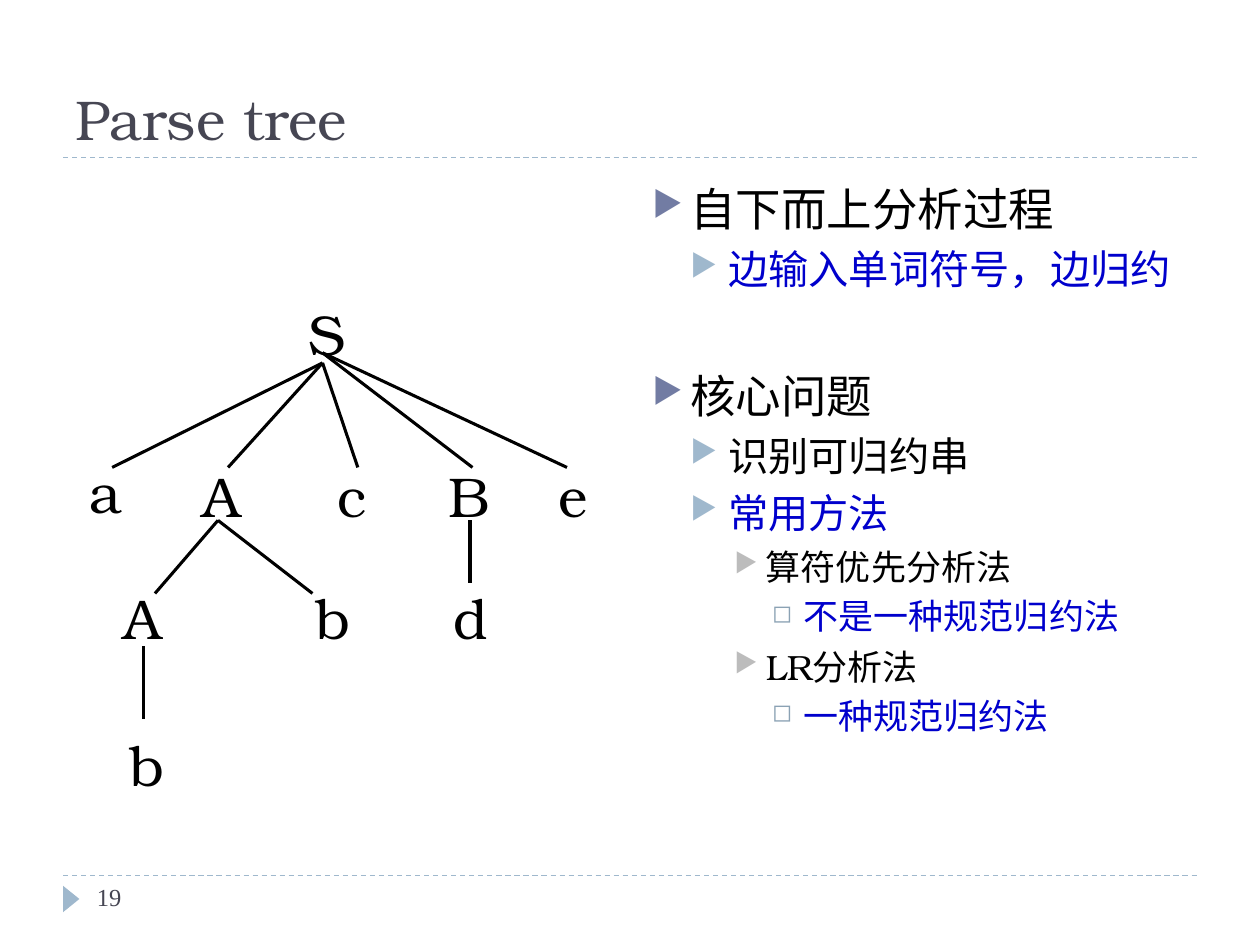
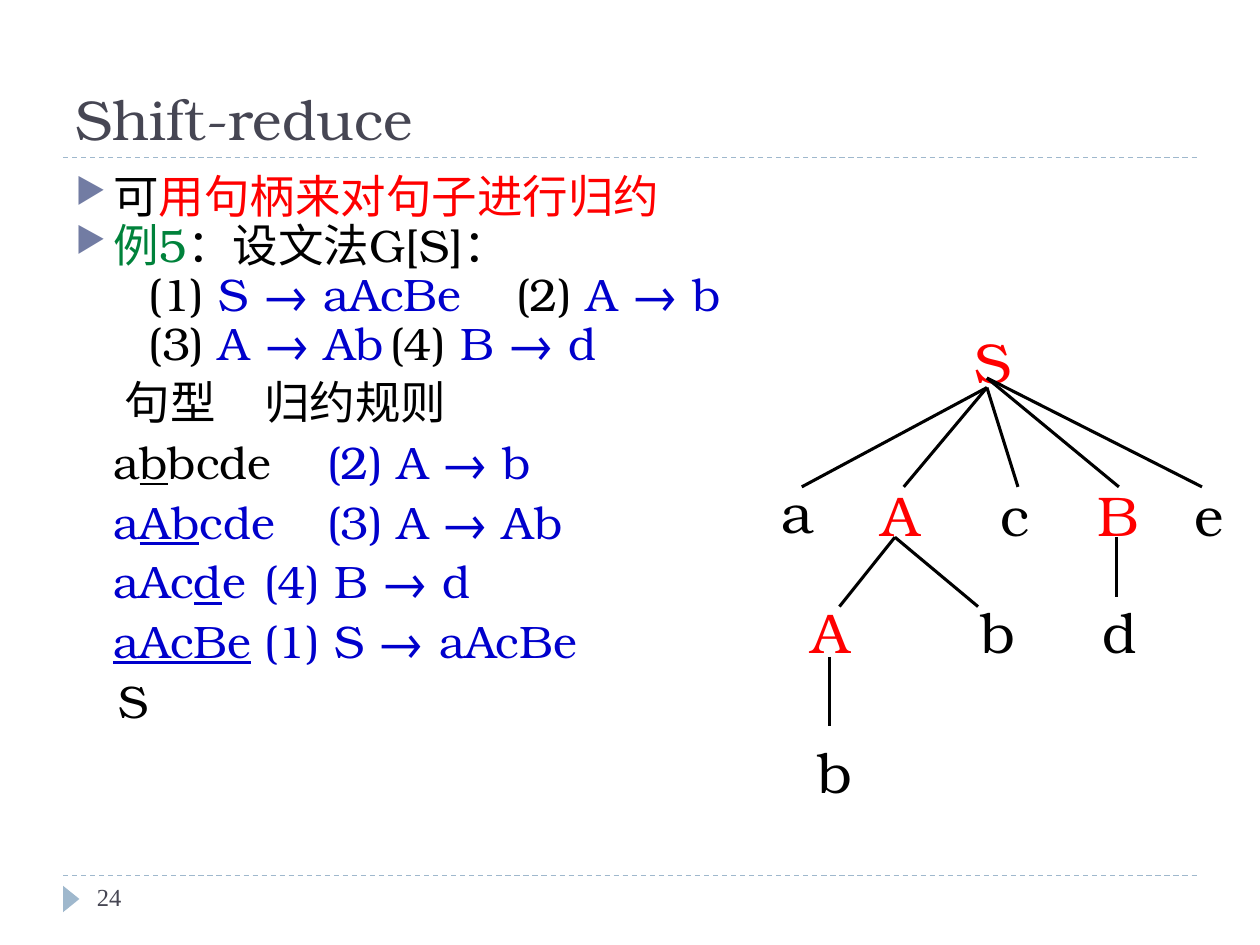
from dataclasses import dataclass

from lxml.etree import SubElement
from pptx import Presentation
from pptx.dml.color import RGBColor
from pptx.enum.dml import MSO_LINE
from pptx.enum.lang import MSO_LANGUAGE_ID
from pptx.enum.shapes import MSO_CONNECTOR, MSO_SHAPE
from pptx.enum.text import MSO_ANCHOR, MSO_AUTO_SIZE, PP_ALIGN
from pptx.oxml.ns import qn
from pptx.util import Inches, Pt


@dataclass(frozen=True)
class Theme:
    ink: str = "000000"
    title: str = "464653"
    accent: str = "9FB8CD"
    blue: str = "0000CC"
    red: str = "FF0000"
    green: str = "00823B"
    serif: str = "TeX Gyre Bonum"
    han: str = "Noto Sans CJK SC"
    number_font: str = "Times New Roman"
    title_size: int = 32
    body_size: int = 26
    number_size: int = 14


@dataclass(frozen=True)
class Level:
    size: int
    margin: float
    hang: float
    before: int
    mark: str
    mark_color: str
    mark_percent: int


THEME = Theme()
LEVELS = (
    Level(26, 0.3, 0.3, 6, "▶", "727CA3", 76),
    Level(23, 0.6, 0.3, 5, "▶", "9FB8CD", 76),
    Level(20, 0.9, 0.25, 5, "▶", "BCBCBC", 76),
    Level(20, 1.2, 0.25, 4, "◻", "8BA2B4", 70),
)

LETTER_WIDTHS = {"S": 0.32, "A": 0.31, "B": 0.33, "a": 0.26, "b": 0.28, "c": 0.25, "d": 0.29, "e": 0.23}
TREE_NODES = (
    ("S", 2.45, 2.38),
    ("a", 0.71, 3.63), ("A", 1.61, 3.66), ("c", 2.68, 3.66), ("B", 3.56, 3.66), ("e", 4.43, 3.66),
    ("A", 0.98, 4.63), ("b", 2.5, 4.63), ("d", 3.6, 4.63),
    ("b", 1.03, 5.8),
)
TREE_BRANCHES = (
    ((2.56, 2.88), ((0.89, 3.71), (1.81, 3.71), (2.84, 3.71))),
    ((2.56, 2.8), ((3.75, 3.71), (4.5, 3.71))),
    ((1.73, 4.13), ((1.23, 4.71), (2.48, 4.71))),
    ((3.73, 4.13), ((3.73, 4.63),)),
    ((1.14, 5.13), ((1.14, 5.71),)),
)


class Deck:
    """Hold the theme and the current slide, and draw each kind of element."""

    def __init__(self, theme):
        self.theme = theme
        self.presentation = Presentation()
        self.presentation.slide_width = Inches(10)
        self.presentation.slide_height = Inches(7.5)

    def add_slide(self, title, number):
        theme = self.theme
        self.slide = self.presentation.slides.add_slide(self.presentation.slide_layouts[6])
        for y in (6.95, 1.25):
            self.line((0.5, y), (9.5, y), theme.accent, 0.75, MSO_LINE.DASH)
        marker = self.slide.shapes.add_shape(
            MSO_SHAPE.ISOSCELES_TRIANGLE, Inches(0.46), Inches(7.07), Inches(0.21), Inches(0.13))
        marker.rotation = 90
        marker.shadow.inherit = False
        marker.fill.solid()
        marker.fill.fore_color.rgb = RGBColor.from_string(theme.accent)
        marker.line.fill.background()
        heading = self.text_frame(0.5, 0.17, 9, 1.08)
        heading.vertical_anchor = MSO_ANCHOR.BOTTOM
        self.run(heading.paragraphs[0], title, theme.title_size, theme.title)
        page = self.text_frame(0.67, 6.95, 2.17, 0.4)
        self.run(page.paragraphs[0], number, theme.number_size, theme.title, theme.number_font)

    def text_frame(self, left, top, width, height):
        box = self.slide.shapes.add_textbox(Inches(left), Inches(top), Inches(width), Inches(height))
        box.text_frame.word_wrap = True
        return box.text_frame

    def run(self, paragraph, text, size, color, font=None, underline=False):
        run = paragraph.add_run()
        run.text = text
        run.font.name = font or self.theme.serif
        run.font.size = Pt(size)
        run.font.color.rgb = RGBColor.from_string(color)
        if underline:
            run.font.underline = True
        if not text.isascii():
            run.font.language_id = MSO_LANGUAGE_ID.SIMPLIFIED_CHINESE
            SubElement(run.font._element, qn("a:ea")).set("typeface", self.theme.serif)

    def paragraph(self, frame, before=0, spacing=None):
        first = frame.paragraphs[0]
        paragraph = frame.add_paragraph() if first.runs else first
        paragraph.space_before = Pt(before if first.runs else 0)
        if spacing:
            paragraph.line_spacing = spacing
        return paragraph

    def bullet(self, frame, depth, runs, han_font, before=None, spacing=None):
        level = LEVELS[depth]
        paragraph = self.paragraph(frame, level.before if before is None else before, spacing)
        paragraph.level = depth
        properties = paragraph._p.get_or_add_pPr()
        properties.set("marL", str(Inches(level.margin)))
        properties.set("indent", str(-Inches(level.hang)))
        color = SubElement(properties, qn("a:buClr"))
        SubElement(color, qn("a:srgbClr")).set("val", level.mark_color)
        SubElement(properties, qn("a:buSzPct")).set("val", str(level.mark_percent * 1000))
        SubElement(properties, qn("a:buChar")).set("char", level.mark)
        for text, color in runs:
            font = self.theme.serif if text.isascii() else han_font
            self.run(paragraph, text, level.size, color, font)

    def tabbed_row(self, frame, indent, tab, runs, before, spacing):
        paragraph = self.paragraph(frame, before, spacing)
        properties = paragraph._p.get_or_add_pPr()
        properties.set("marL", "0")
        properties.set("indent", str(Inches(indent)))
        SubElement(properties, qn("a:buNone"))
        if tab:
            stop = SubElement(SubElement(properties, qn("a:tabLst")), qn("a:tab"))
            stop.set("pos", str(Inches(tab)))
            stop.set("algn", "l")
        for text, color, *underline in runs:
            self.run(paragraph, text, self.theme.body_size, color, underline=bool(underline))

    def line(self, start, end, color, width, dash=None):
        line = self.slide.shapes.add_connector(
            MSO_CONNECTOR.STRAIGHT, *(Inches(value) for value in (*start, *end)))
        line.line.color.rgb = RGBColor.from_string(color)
        line.line.width = Pt(width)
        if dash:
            line.line.dash_style = dash
        SubElement(line._element.spPr, qn("a:effectLst"))

    def letter(self, letter, left, top, color):
        frame = self.text_frame(left, top, LETTER_WIDTHS[letter], 0.54)
        frame.margin_left = frame.margin_right = frame.margin_top = frame.margin_bottom = 0
        frame.word_wrap = False
        frame.auto_size = MSO_AUTO_SIZE.SHAPE_TO_FIT_TEXT
        frame.paragraphs[0].alignment = PP_ALIGN.JUSTIFY
        self.run(frame.paragraphs[0], letter, self.theme.title_size, color)

    def parse_tree(self, nonterminal_color, shift=(0, 0), scale=(1, 1)):
        def place(x, y):
            return shift[0] + x * scale[0], shift[1] + y * scale[1]

        for letter, x, y in TREE_NODES:
            color = nonterminal_color if letter.isupper() else self.theme.ink
            self.letter(letter, *place(x, y), color)
        for parent, children in TREE_BRANCHES:
            for child in children:
                self.line(place(*parent), place(*child), self.theme.ink, 1.75)


def add_parse_tree_slide(deck):
    ink, blue = deck.theme.ink, deck.theme.blue
    deck.add_slide("Parse tree", "19")
    outline = deck.text_frame(5.08, 1.39, 4.41, 5.4)
    section_gap = 43
    for depth, runs, before in (
        (0, [("自下而上分析过程", ink)], None),
        (1, [("边输入单词符号，边归约", blue)], None),
        (0, [("核心问题", ink)], section_gap),
        (1, [("识别可归约串", ink)], None),
        (1, [("常用方法", blue)], None),
        (2, [("算符优先分析法", ink)], None),
        (3, [("不是一种规范归约法", blue)], None),
        (2, [("LR", ink), ("分析法", ink)], None),
        (3, [("一种规范归约法", blue)], None),
    ):
        deck.bullet(outline, depth, runs, deck.theme.han, before)
    deck.parse_tree(ink)


def add_shift_reduce_slide(deck):
    theme = deck.theme
    ink, blue = theme.ink, theme.blue
    deck.add_slide("Shift-reduce", "24")
    body = deck.text_frame(0.5, 1.33, 9, 5.4)
    spacing = 0.9
    for runs in (
        [("可", ink), ("用句柄来对句子进行归约", theme.red)],
        [("例5", theme.green), ("：设文法G[S]：", ink)],
    ):
        deck.bullet(body, 0, runs, theme.serif, 0, spacing)
    for tab, left_number, left_rule, right_number, right_rule in (
        (3.3, "(1) ", "S → aAcBe", "\t(2) ", "A → b"),
        (3.27, "(3) ", "A → Ab", "\t(4) ", "B → d"),
    ):
        runs = [(left_number, ink), (left_rule, blue), (right_number, ink), (right_rule, blue)]
        deck.tabbed_row(body, 0.58, tab, runs, 0, spacing)
    for indent, tab, runs in (
        (0.39, 1.68, [("句型\t归约规则", ink)]),
        (0.3, 1.92, [("a", ink), ("b", ink, True), ("bcde", ink), ("\t(2) A → b", blue)]),
        (0.3, 1.94, [("a", blue), ("Ab", blue, True), ("cde\t(3) A → Ab", blue)]),
        (0.3, 1.94, [("aAc", blue), ("d", blue, True), ("e\t(4) B → d", blue)]),
        (0.3, 1.98, [("aAcBe", blue, True), ("\t(1) S → aAcBe", blue)]),
        (0.34, None, [("S", ink)]),
    ):
        deck.tabbed_row(body, indent, tab, runs, 6, spacing)
    deck.parse_tree(theme.red, shift=(5.58, 0.34), scale=(0.88, 0.95))


def main():
    deck = Deck(THEME)
    add_parse_tree_slide(deck)
    add_shift_reduce_slide(deck)
    deck.presentation.save("out.pptx")


if __name__ == "__main__":
    main()
